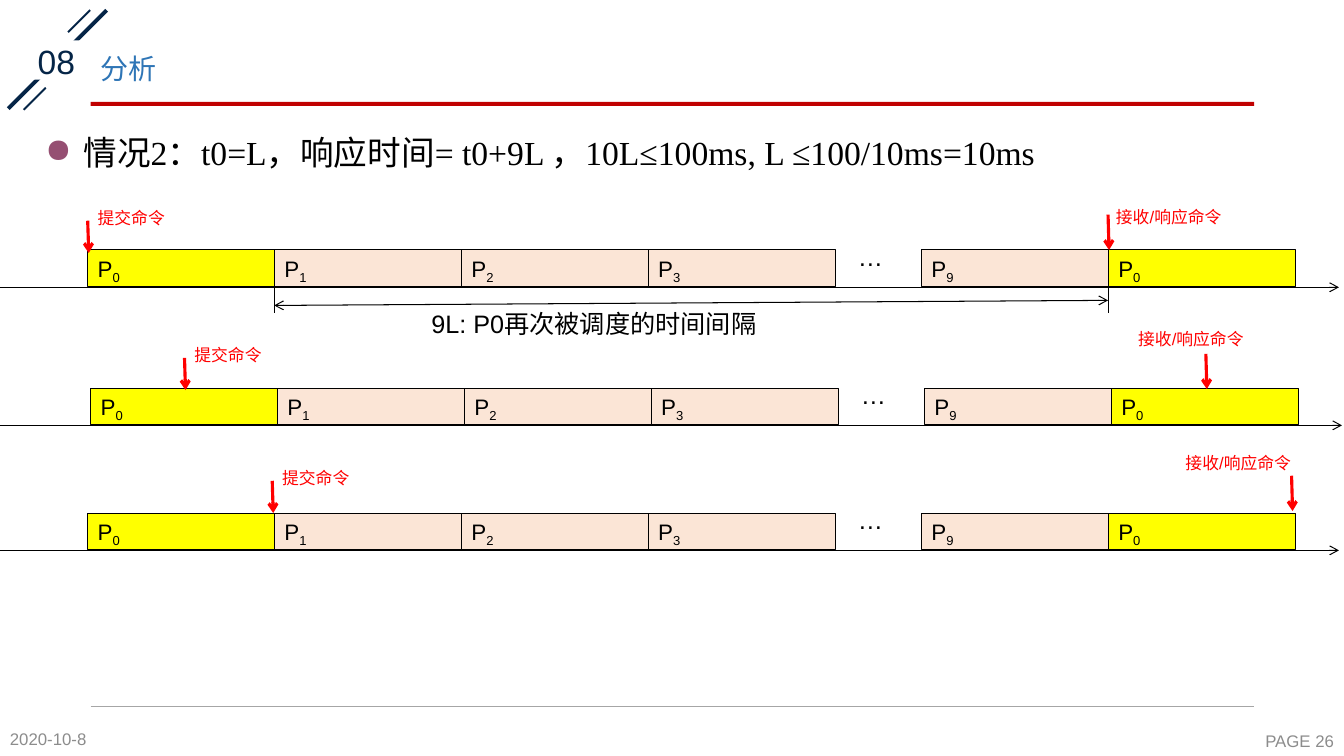
from lxml.etree import SubElement
from pptx import Presentation
from pptx.dml.color import RGBColor
from pptx.enum.shapes import MSO_CONNECTOR as Connector, MSO_SHAPE as Shape
from pptx.enum.text import MSO_ANCHOR as Anchor, MSO_AUTO_SIZE as AutoSize, PP_ALIGN as Align
from pptx.oxml.ns import qn
from pptx.util import Inches, Pt

TITLE = "分析"
STATEMENT = "情况2：t0=L，响应时间= t0+9L ，10L≤100ms, L ≤100/10ms=10ms"
INTERVAL = "9L: P0再次被调度的时间间隔"
SUBMIT, RECEIVE = "提交命令", "接收/响应命令"
NAVY, RED, BLACK, GRAY = "052547", "FF0000", "000000", "8C8C8C"
YELLOW, PEACH = "FFFF00", "FBE5D6"

BARS = [
    (-0.12, 0.57, 1.38, 0.04, 315, NAVY),
    (0.63, 0.2, 0.31, 0.02, 315, NAVY),
    (0.19, 0.97, 0.31, 0.02, 315, NAVY),
    (0.9, 1.01, 11.54, 0.04, 0, "C00000"),
]
SLOT_GROUPS = [(0, "0123"), (8.27, "90")]
SLOT_WIDTH, SLOT_HEIGHT, SLOT_PITCH = 1.86, 0.36, 5.56 / 3
TIMELINES = [
    {"origin": (0.87, 2.48), "submit": (0.87, 2.19),
     "receive": (10.99, 2.13), "receive_label": (10.97, 2)},
    {"origin": (0.9, 3.85), "submit": (1.83, 3.55),
     "receive": (11.96, 3.51), "receive_label": (11.19, 3.21)},
    {"origin": (0.87, 5.09), "submit": (2.7, 4.77),
     "receive": (12.81, 4.72), "receive_label": (11.66, 4.44)},
]


def color(value):
    return RGBColor.from_string(value)


def add_run(paragraph, text, size, fill, font="Arial"):
    run = paragraph.add_run()
    run.text = text
    run.font.name = font
    run.font.size = Pt(size)
    run.font.color.rgb = color(fill)
    return run


def add_text(slide, box, text, size, fill, font="Arial", align=Align.LEFT,
             anchor=Anchor.TOP, grow=False):
    shape = slide.shapes.add_textbox(*map(Inches, box))
    frame = shape.text_frame
    frame.word_wrap = True
    frame.vertical_anchor = anchor
    frame.auto_size = AutoSize.SHAPE_TO_FIT_TEXT if grow else AutoSize.NONE
    paragraph = frame.paragraphs[0]
    paragraph.alignment = align
    add_run(paragraph, text, size, fill, font)
    return shape


def add_rectangle(slide, box, fill, outline=None):
    shape = slide.shapes.add_shape(Shape.RECTANGLE, *map(Inches, box))
    shape.shadow.inherit = False
    shape.fill.solid()
    shape.fill.fore_color.rgb = color(fill)
    if outline:
        shape.line.color.rgb = color(outline)
        shape.line.width = Pt(0.75)
    else:
        shape.line.fill.background()
    return shape


def add_line(slide, start, end, stroke=BLACK, width=0.75, arrows=()):
    line = slide.shapes.add_connector(Connector.STRAIGHT, *map(Inches, (*start, *end)))
    line.line.color.rgb = color(stroke)
    line.line.width = Pt(width)
    properties = line.line._get_or_add_ln()
    for arrow in arrows:
        SubElement(properties, qn(f"a:{arrow}"), type="arrow")
    SubElement(line.element.spPr, qn("a:effectLst"))


def add_slot(slide, left, top, number):
    fill = YELLOW if number == "0" else PEACH
    slot = add_rectangle(slide, (left, top, SLOT_WIDTH, SLOT_HEIGHT), fill, BLACK)
    slot.text_frame.vertical_anchor = Anchor.TOP
    paragraph = slot.text_frame.paragraphs[0]
    paragraph.alignment = Align.LEFT
    add_run(paragraph, "P", 16, BLACK)
    subscript = add_run(paragraph, number, 16, BLACK)
    subscript.font._element.set("baseline", "-25000")


def add_timeline(slide, origin, submit, receive, receive_label):
    left, top = origin
    for offset, numbers in SLOT_GROUPS:
        for index, number in enumerate(numbers):
            add_slot(slide, left + offset + index * SLOT_PITCH, top, number)
    axis = top + 0.37
    add_line(slide, (left - 0.93, axis), (left + 12.41, axis), arrows=["tailEnd"])
    add_text(slide, (left + 7.54, top - 0.14, 0.45, 0.4), "…", 18, BLACK, grow=True)
    for (x, y), length in ((submit, 0.32), (receive, 0.35)):
        add_line(slide, (x, y), (x + 0.01, y + length), RED, 2.25, ["tailEnd"])
    add_text(slide, (submit[0], submit[1] - 0.18, 0.88, 0.3), SUBMIT, 12, RED, grow=True)
    add_text(slide, (*receive_label, 1.26, 0.3), RECEIVE, 12, RED, grow=True)


def add_frame(slide):
    for *box, angle, fill in BARS:
        add_rectangle(slide, box, fill).rotation = angle
    add_line(slide, (0.9, 7.01), (12.44, 7.01), "A6A6A6", 0.5)
    add_text(slide, (0, 7.16, 1.18, 0.34), "2020-10-8", 12, GRAY, anchor=Anchor.MIDDLE)
    add_text(slide, (11.89, 7.18, 1.44, 0.34), "PAGE 26", 12, GRAY,
             align=Align.RIGHT, anchor=Anchor.MIDDLE)
    section = add_text(slide, (0.23, 0.4, 0.66, 0.39), "08", 24, NAVY, align=Align.CENTER)
    section.text_frame.paragraphs[0].line_spacing = 0.9
    section.fill.solid()
    section.fill.fore_color.rgb = color("FFFFFF")


def add_title(slide):
    title = slide.shapes.title
    title.left, title.top, title.width, title.height = map(Inches, (0.9, 0.4, 11.54, 0.6))
    title.text_frame.vertical_anchor = Anchor.MIDDLE
    paragraph = title.text_frame.paragraphs[0]
    paragraph.alignment = Align.LEFT
    paragraph.line_spacing = 0.9
    add_run(paragraph, TITLE, 20, "2E75B6", "Noto Sans CJK SC")


def add_statement(slide):
    statement = add_text(slide, (0.35, 1.22, 12.65, 0.65), STATEMENT, 24, BLACK,
                         "Times New Roman")
    paragraph = statement.text_frame.paragraphs[0]
    paragraph.line_spacing = 1.1
    properties = paragraph._p.get_or_add_pPr()
    properties.set("marL", str(Inches(0.38)))
    properties.set("indent", str(Inches(-0.38)))
    bullet_color = SubElement(properties, qn("a:buClr"))
    SubElement(bullet_color, qn("a:srgbClr"), val="954F72")
    SubElement(properties, qn("a:buChar"), char="●")


def add_interval(slide):
    start, end = 2.72, 10.99
    for x in (start, end):
        add_line(slide, (x, 2.85), (x, 3.11))
    add_line(slide, (start, 3.03), (end, 2.98), arrows=["headEnd", "tailEnd"])
    add_text(slide, (4.18, 3.01, 3.46, 0.4), INTERVAL, 18, BLACK, grow=True)


def main():
    presentation = Presentation()
    presentation.slide_width, presentation.slide_height = Inches(13.33), Inches(7.5)
    slide = presentation.slides.add_slide(presentation.slide_layouts[5])
    add_frame(slide)
    add_title(slide)
    add_statement(slide)
    for timeline in TIMELINES:
        add_timeline(slide, **timeline)
    add_interval(slide)
    presentation.save("out.pptx")


if __name__ == "__main__":
    main()
